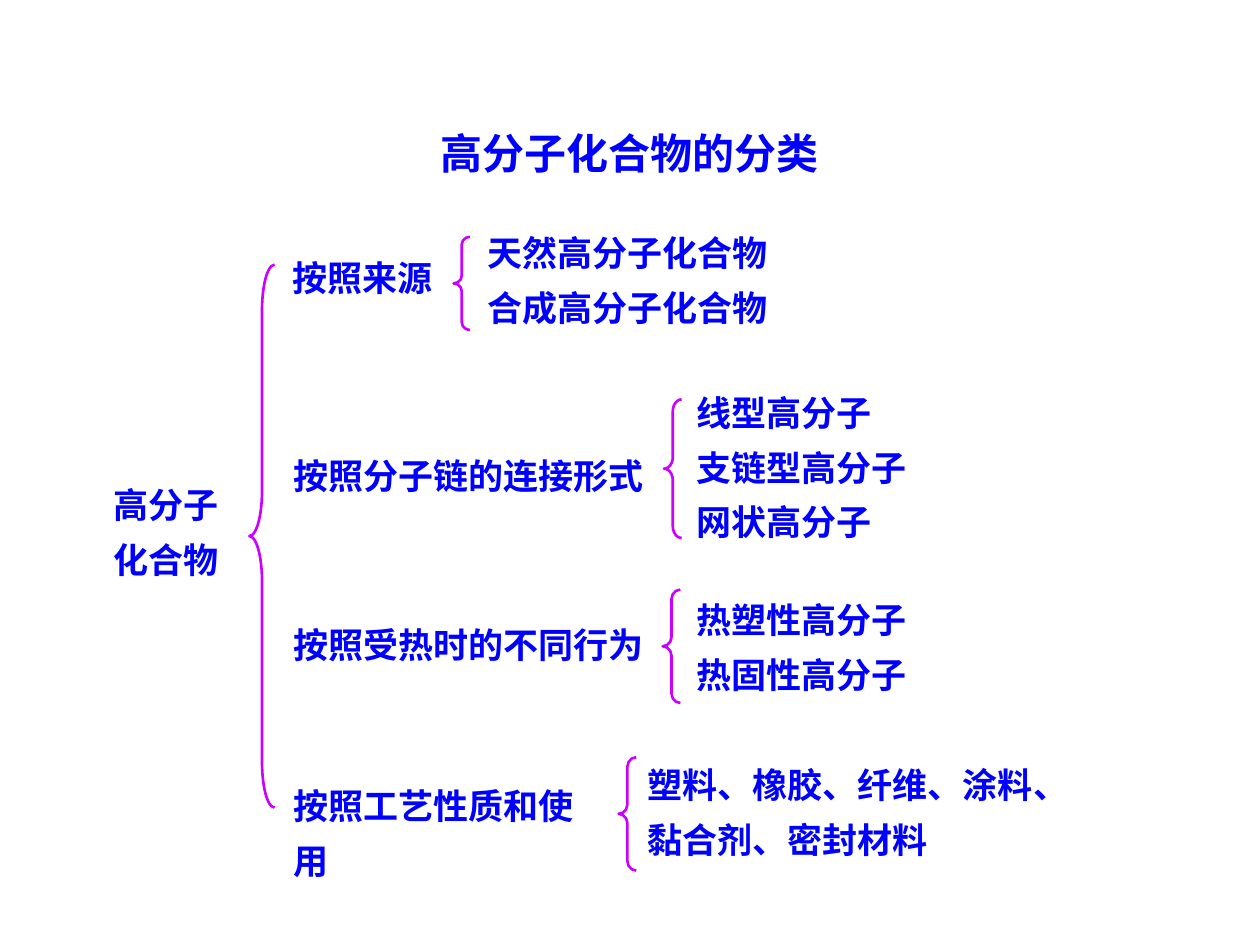
from dataclasses import dataclass

from lxml.etree import SubElement
from pptx import Presentation
from pptx.dml.color import RGBColor
from pptx.enum.shapes import MSO_SHAPE
from pptx.enum.text import MSO_AUTO_SIZE, PP_ALIGN
from pptx.oxml.ns import qn
from pptx.util import Inches, Pt


@dataclass(frozen=True)
class Theme:
    font: str = "Noto Sans CJK SC"
    ink: RGBColor = RGBColor(0x00, 0x00, 0xFF)
    line: RGBColor = RGBColor(0xCC, 0x00, 0xFF)
    title: int = 24
    body: int = 20
    weight: float = 1.5


THEME = Theme()

# Each branch: label, its box (left, top, width), brace box, items, items box
BRANCHES = [
    ("按照来源", (2.22, 1.89, 1.54), (3.6, 1.88, 0.13, 0.74),
     ["天然高分子化合物", "合成高分子化合物"], (3.77, 1.69, 3.48)),
    ("按照分子链的连接形式", (2.23, 3.46, 2.98), (5.27, 3.17, 0.14, 1.1),
     ["线型高分子", "支链型高分子", "网状高分子"], (5.43, 2.96, 2.49)),
    ("按照受热时的不同行为", (2.23, 4.8, 2.98), (5.26, 4.68, 0.14, 0.9),
     ["热塑性高分子", "热固性高分子"], (5.43, 4.6, 3.16)),
    ("按照工艺性质和使用", (2.23, 6.08, 2.7), (4.91, 6.01, 0.14, 0.9),
     ["塑料、橡胶、纤维、涂料、", "黏合剂、密封材料"], (5.04, 5.91, 3.74)),
]


def add_text(slide, lines, left, top, width, size=THEME.body, space=1.3,
             align=PP_ALIGN.LEFT, wrap=True):
    """Add a box that holds one paragraph for each line."""
    height = 0.1 + len(lines) * size * space / 60
    box = slide.shapes.add_textbox(
        Inches(left), Inches(top), Inches(width), Inches(height))
    frame = box.text_frame
    frame.word_wrap = wrap
    frame.auto_size = MSO_AUTO_SIZE.SHAPE_TO_FIT_TEXT
    for i, line in enumerate(lines):
        para = frame.paragraphs[0] if i == 0 else frame.add_paragraph()
        para.alignment = align
        para.line_spacing = space
        run = para.add_run()
        run.text = line
        font = run.font
        font.name = THEME.font
        font.size = Pt(size)
        font.bold = True
        font.color.rgb = THEME.ink
        SubElement(run._r.get_or_add_rPr(), qn("a:ea"), typeface=THEME.font)


def add_brace(slide, left, top, width, height):
    """Add a left brace whose curves are a twelfth of its height."""
    brace = slide.shapes.add_shape(
        MSO_SHAPE.LEFT_BRACE, Inches(left), Inches(top),
        Inches(width), Inches(height))
    brace.adjustments[0] = height / 12 / width
    brace.shadow.inherit = False
    brace.fill.background()
    brace.line.color.rgb = THEME.line
    brace.line.width = Pt(THEME.weight)


def main():
    deck = Presentation()
    deck.slide_width = Inches(10)
    deck.slide_height = Inches(7.5)
    slide = deck.slides.add_slide(deck.slide_layouts[6])

    add_text(slide, ["高分子化合物的分类"], 1.77, 0.96, 6.46,
             size=THEME.title, space=1.0, align=PP_ALIGN.CENTER)
    add_text(slide, ["高分子", "化合物"], 0.8, 3.69, 1.54)
    add_brace(slide, 1.98, 2.1, 0.2, 4.31)
    for label, place, brace, items, spot in BRANCHES:
        add_text(slide, [label], *place, wrap=False)
        add_brace(slide, *brace)
        add_text(slide, items, *spot)

    deck.save("out.pptx")


if __name__ == "__main__":
    main()
